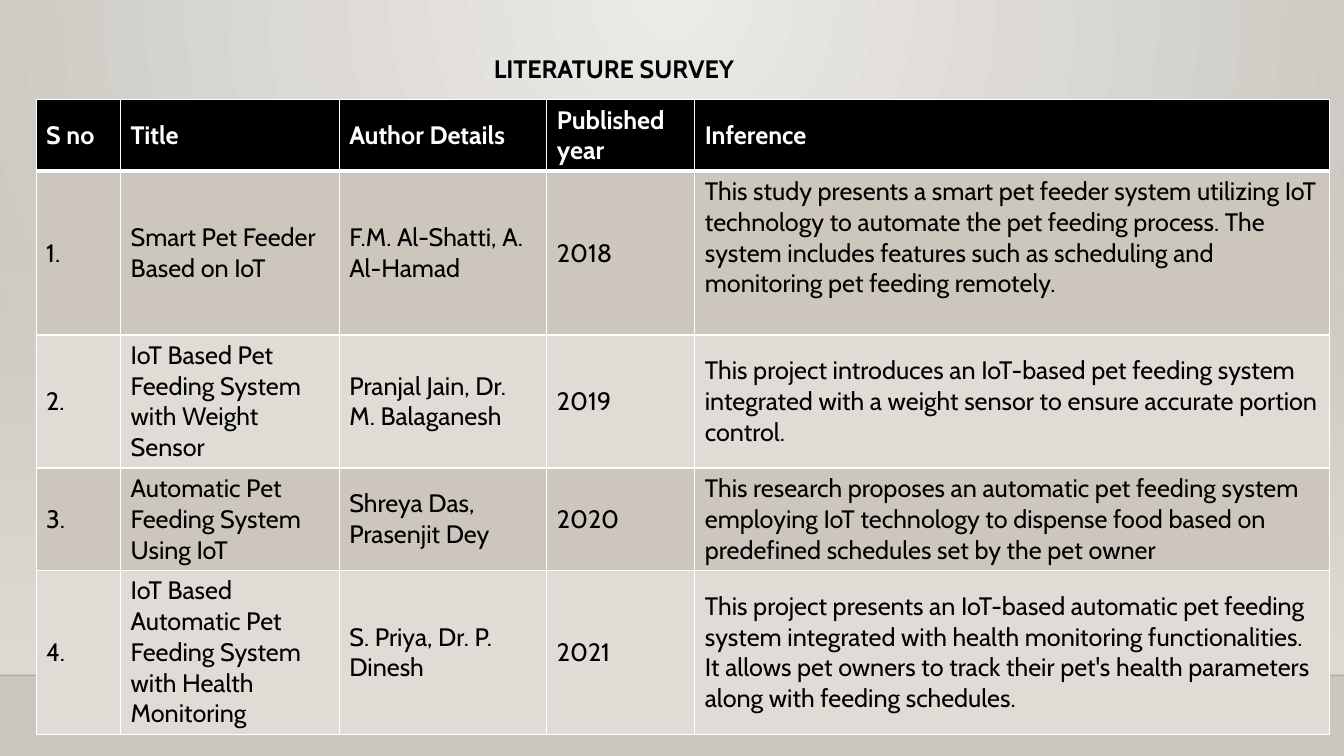
"""Build the literature survey slide with its table of pet feeder studies."""
import lxml.etree
import pptx
import pptx.dml.color
import pptx.enum.shapes
import pptx.enum.text
import pptx.oxml
import pptx.oxml.ns
import pptx.util

Cm = pptx.util.Cm
Pt = pptx.util.Pt
Anchor = pptx.enum.text.MSO_ANCHOR
qn = pptx.oxml.ns.qn

TITLE = "LITERATURE SURVEY"
HEADS = ["S no", "Title", "Author Details", "Published year", "Inference"]
STUDIES = [
    ["1.", "Smart Pet Feeder Based on IoT", "F.M. Al-Shatti, A. Al-Hamad", "2018",
     "This study presents a smart pet feeder system utilizing IoT technology to "
     "automate the pet feeding process. The system includes features such as "
     "scheduling and monitoring pet feeding remotely."],
    ["2.", "IoT Based Pet Feeding System with Weight Sensor",
     "Pranjal Jain, Dr. M. Balaganesh", "2019",
     "This project introduces an IoT-based pet feeding system integrated with a "
     "weight sensor to ensure accurate portion control."],
    ["3.", "Automatic Pet Feeding System Using IoT", "Shreya Das, Prasenjit Dey", "2020",
     "This research proposes an automatic pet feeding system employing IoT "
     "technology to dispense food based on predefined schedules set by the pet owner"],
    ["4.", "IoT Based Automatic Pet Feeding System with Health Monitoring",
     "S. Priya, Dr. P. Dinesh", "2021",
     "This project presents an IoT-based automatic pet feeding system integrated "
     "with health monitoring functionalities. It allows pet owners to track their "
     "pet's health parameters along with feeding schedules."],
]
WIDTHS = [2.13, 5.51, 5.23, 3.73, 16]
LINES = [2, 5, 4, 3, 5]
BANDS = ["DFDBD5", "CCC6BC"]
FONT, SIZE = "Cabin", 18
LINE, PAD = 0.775, 0.25
WIDE, HIGH, HORIZON = 33.87, 19.05, 17.02


def paint(hue):
    return pptx.dml.color.RGBColor.from_string(hue)


def node(body):
    space = pptx.oxml.ns.nsdecls("a")
    return pptx.oxml.parse_xml(body.replace(" ", f" {space} ", 1))


def blend(fill, root, hues, shade, alpha=100):
    fill.gradient()
    grad = root.find(".//" + qn("a:gradFill"))
    for part in list(grad):
        grad.remove(part)
    stops = "".join(
        f'<a:gs pos="{pos}"><a:srgbClr val="{hue}"><a:alpha val="{clear * 1000}"/>'
        "</a:srgbClr></a:gs>"
        for pos, hue, clear in zip((0, 100000), hues, (alpha, 100)))
    grad.append(node(f"<a:gsLst >{stops}</a:gsLst>"))
    grad.append(node(shade))


def write(frame, text, hue, bold):
    run = frame.paragraphs[0].add_run()
    run.text = text
    font = run.font
    font.name, font.size, font.bold = FONT, Pt(SIZE), bold
    font.color.rgb = paint(hue)


def edge(cell, sides):
    props = cell._tc.get_or_add_tcPr()
    for spot, (side, width) in enumerate(sides):
        props.insert(spot, node(
            f'<a:ln{side} w="{Pt(width)}"><a:solidFill><a:srgbClr val="FFFFFF"/>'
            f"</a:solidFill></a:ln{side}>"))


def stage(slide):
    blend(slide.background.fill, slide.element, ("ECEAE7", "CAC7C1"),
          '<a:path path="circle"><a:fillToRect l="43000" t="0" r="43000" b="100000"/></a:path>')
    top = 5.61
    wall = slide.shapes.add_shape(pptx.enum.shapes.MSO_SHAPE.RECTANGLE,
                                  0, Cm(top), Cm(WIDE), Cm(HORIZON - top))
    wall.shadow.inherit = False
    wall.line.fill.background()
    blend(wall.fill, wall.element, (BANDS[0], BANDS[0]),
          '<a:lin ang="5400000" scaled="0"/>', 0)
    rule = slide.shapes.add_connector(pptx.enum.shapes.MSO_CONNECTOR.STRAIGHT,
                                      0, Cm(HORIZON), Cm(WIDE), Cm(HORIZON))
    rule.line.width = Pt(1)
    rule.line.color.rgb = paint("000001")
    tint = rule.element.find(".//" + qn("a:srgbClr"))
    lxml.etree.SubElement(tint, qn("a:alpha")).set("val", "20000")
    lxml.etree.SubElement(rule.element.spPr, qn("a:effectLst"))


def head(slide):
    title = slide.shapes.title
    title.left, title.top = Cm(12.19), Cm(1.22)
    title.width, title.height = Cm(18.44), Cm(1.02)
    frame = title.text_frame
    frame.auto_size = pptx.enum.text.MSO_AUTO_SIZE.NONE
    frame.vertical_anchor = Anchor.MIDDLE
    frame.paragraphs[0].alignment = pptx.enum.text.PP_ALIGN.LEFT
    write(frame, TITLE, "000000", True)


def survey(slide):
    rows = [HEADS] + STUDIES
    highs = [count * LINE + PAD for count in LINES]
    grid = slide.shapes.add_table(len(rows), len(HEADS), Cm(0.91), Cm(2.51),
                                  Cm(sum(WIDTHS)), Cm(sum(highs))).table
    for col, width in zip(grid.columns, WIDTHS):
        col.width = Cm(width)
    for r, (row, high) in enumerate(zip(rows, highs)):
        grid.rows[r].height = Cm(high)
        first = r == 0
        sides = [("L", 1), ("R", 1), ("T", 3 if r == 1 else 1), ("B", 3 if first else 1)]
        for c, text in enumerate(row):
            cell = grid.cell(r, c)
            cell.vertical_anchor = Anchor.MIDDLE
            cell.fill.solid()
            cell.fill.fore_color.rgb = paint("000000" if first else BANDS[r % 2])
            edge(cell, sides)
            write(cell.text_frame, text, "FFFFFF" if first else "000000", first)
    grid.cell(1, len(HEADS) - 1).vertical_anchor = Anchor.TOP


def main():
    deck = pptx.Presentation()
    deck.slide_width, deck.slide_height = Cm(WIDE), Cm(HIGH)
    slide = deck.slides.add_slide(deck.slide_layouts[5])
    stage(slide)
    head(slide)
    survey(slide)
    deck.save("out.pptx")


if __name__ == "__main__":
    main()
